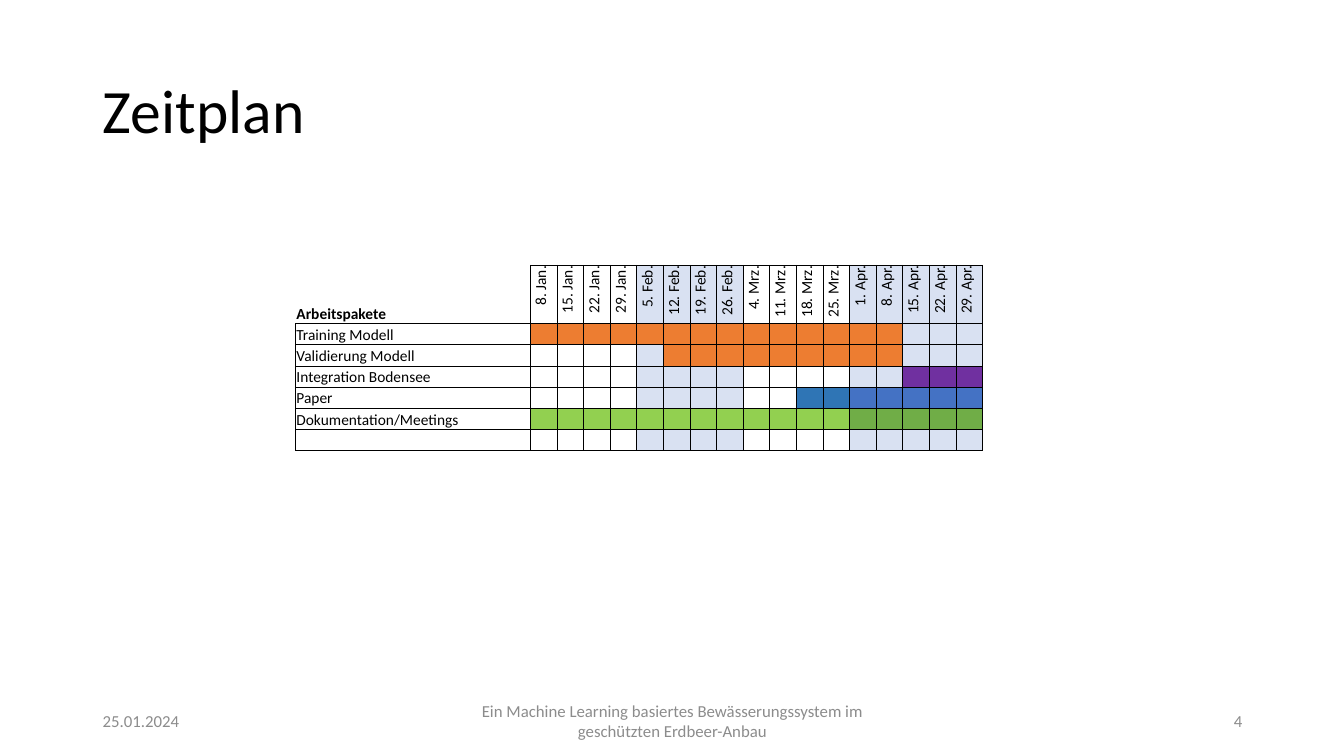
import pptx
import pptx.util
import pptx.dml.color
import pptx.enum.text
import pptx.oxml
import pptx.oxml.ns

Inches = pptx.util.Inches
Pt = pptx.util.Pt
ALIGN = pptx.enum.text.PP_ALIGN
ANCHOR = pptx.enum.text.MSO_ANCHOR

FONT = "Calibri"
COLORS = {
    "black": "000000",
    "grey": "8C8C8C",
    "white": "FFFFFF",
    "shade": "D9E1F2",
    "orange": "ED7D31",
    "purple": "7030A0",
    "teal": "2F75B5",
    "blue": "4472C4",
    "lime": "92D050",
    "green": "70AD47",
}
MONTHS = [
    ("Jan.", (8, 15, 22, 29), "white"),
    ("Feb.", (5, 12, 19, 26), "shade"),
    ("Mrz.", (4, 11, 18, 25), "white"),
    ("Apr.", (1, 8, 15, 22, 29), "shade"),
]
WEEKS = [(f"{day}. {month}", shade) for month, days, shade in MONTHS for day in days]
PACKAGES = [
    ("Training Modell", [(1, 14, "orange")]),
    ("Validierung Modell", [(6, 14, "orange")]),
    ("Integration Bodensee", [(15, 17, "purple")]),
    ("Paper", [(11, 12, "teal"), (13, 17, "blue")]),
    ("Dokumentation/Meetings", [(1, 12, "lime"), (13, 17, "green")]),
    ("", []),
]
FOOTER = [
    ("25.01.2024", 0.92, 3, ALIGN.LEFT),
    ("Ein Machine Learning basiertes Bewässerungssystem im geschützten Erdbeer-Anbau",
     4.42, 4.5, ALIGN.CENTER),
    ("4", 9.42, 3, ALIGN.RIGHT),
]


def rgb(color):
    return pptx.dml.color.RGBColor.from_string(COLORS[color])


def write(frame, text, size, color, align=ALIGN.LEFT, bold=False):
    frame.text = text
    paragraph = frame.paragraphs[0]
    paragraph.alignment = align
    for run in paragraph.runs:
        run.font.name = FONT
        run.font.size = Pt(size)
        run.font.bold = bold
        run.font.color.rgb = rgb(color)


def place_title(slide, text):
    title = slide.shapes.title
    title.left, title.top = Inches(0.92), Inches(0.4)
    title.width, title.height = Inches(11.5), Inches(1.45)
    title.text_frame.vertical_anchor = ANCHOR.MIDDLE
    write(title.text_frame, text, 44, "black")
    title.text_frame.paragraphs[0].line_spacing = 0.9


def add_footer_text(slide, text, left, width, align):
    box = slide.shapes.add_textbox(Inches(left), Inches(6.95), Inches(width), Inches(0.4))
    box.text_frame.word_wrap = True
    box.text_frame.vertical_anchor = ANCHOR.MIDDLE
    write(box.text_frame, text, 12, "grey", align)


def set_borders(cell, visible):
    properties = cell._tc.get_or_add_tcPr()
    namespace = pptx.oxml.ns.nsdecls("a")
    for side in "LRTB":
        paint = "<a:noFill/>"
        if side in visible:
            paint = f'<a:solidFill><a:srgbClr val="{COLORS["black"]}"/></a:solidFill>'
        properties.append(pptx.oxml.parse_xml(
            f'<a:ln{side} {namespace} w="{Pt(0.5)}">{paint}</a:ln{side}>'))


def fill_cell(cell, text, color, align=ALIGN.LEFT, bold=False, borders="LRTB"):
    set_borders(cell, borders)
    cell.fill.solid()
    cell.fill.fore_color.rgb = rgb(color)
    cell.vertical_anchor = ANCHOR.BOTTOM
    cell.margin_left = cell.margin_right = cell.margin_top = Inches(0.01)
    cell.margin_bottom = 0
    write(cell.text_frame, text, 11, "black", align, bold)
    if not text:
        cell.text_frame.paragraphs[0]._p.get_or_add_endParaRPr().set("sz", "1100")


def add_schedule(slide):
    row_count, column_count = len(PACKAGES) + 1, len(WEEKS) + 1
    schedule = slide.shapes.add_table(
        row_count, column_count, Inches(2.93), Inches(2.63), Inches(6.82), Inches(1.84)).table
    schedule.first_row = schedule.horz_banding = False
    for index, column in enumerate(schedule.columns):
        column.width = Inches(4.49 / len(WEEKS)) if index else Inches(2.33)
    for index, row in enumerate(schedule.rows):
        row.height = Inches(0.21) if index else Inches(0.58)

    fill_cell(schedule.cell(0, 0), "Arbeitspakete", "white", bold=True, borders="RB")
    for week, (date, shade) in enumerate(WEEKS, 1):
        header = schedule.cell(0, week)
        fill_cell(header, date, shade, ALIGN.RIGHT)
        header._tc.tcPr.set("vert", "vert270")

    for row, (package, phases) in enumerate(PACKAGES, 1):
        fill_cell(schedule.cell(row, 0), package, "white")
        for week, (date, shade) in enumerate(WEEKS, 1):
            color = next((c for first, last, c in phases if first <= week <= last), shade)
            fill_cell(schedule.cell(row, week), "", color)


def main():
    deck = pptx.Presentation()
    deck.slide_width, deck.slide_height = Inches(13.33), Inches(7.5)
    slide = deck.slides.add_slide(deck.slide_layouts[5])
    place_title(slide, "Zeitplan")
    add_schedule(slide)
    for text, left, width, align in FOOTER:
        add_footer_text(slide, text, left, width, align)
    deck.save("out.pptx")


if __name__ == "__main__":
    main()
